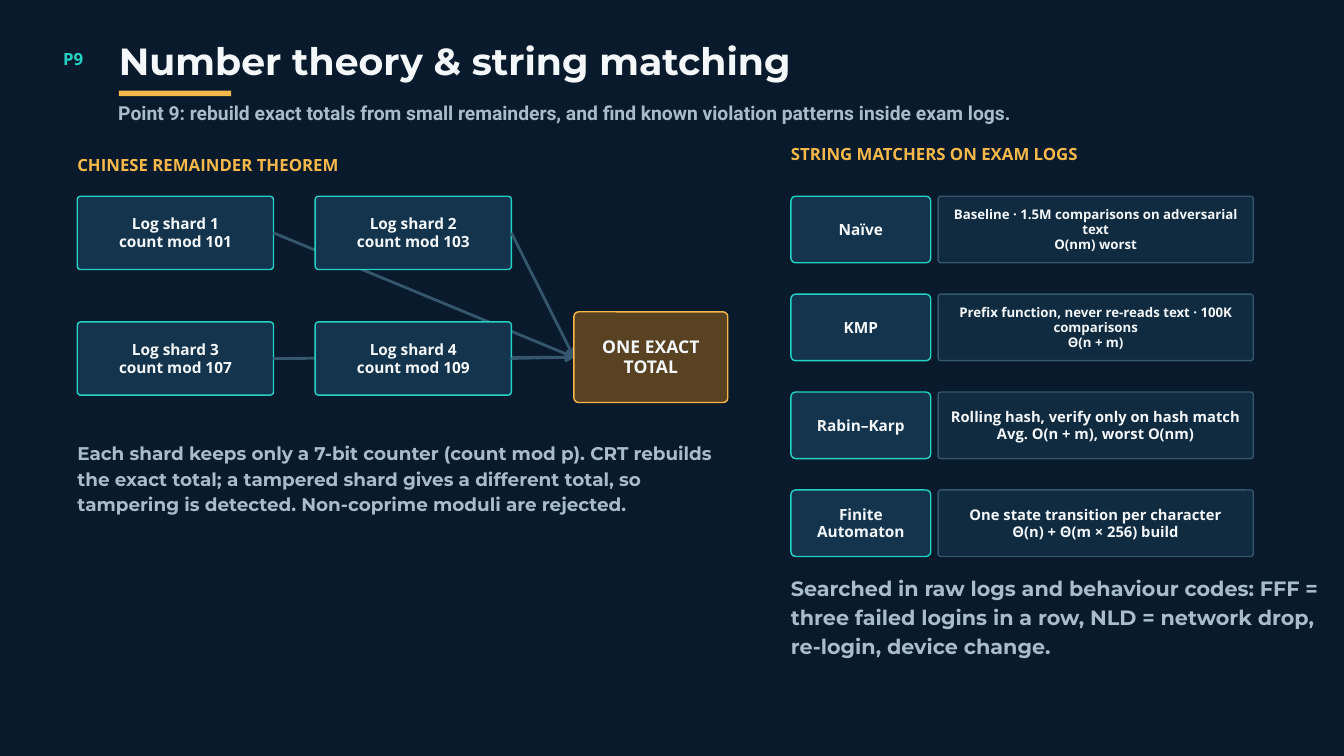
from collections import namedtuple

from lxml import etree
from pptx import Presentation
from pptx import util as u
from pptx.dml import color
from pptx.enum import shapes, text
from pptx.oxml import ns

NAVY, PANEL, STEEL = "081A2B", "14344D", "35566D"
DETAIL, BROWN = "102A40", "584221"
TEAL, AMBER, WHITE, MUTED = "22D3C5", "F6B84A", "F4F8FB", "A8BDCA"

Box = namedtuple("Box", "left top width height")

SHARD_MODULI = [101, 103, 107, 109]
MATCHERS = [
    ("Naïve", ["Baseline · 1.5M comparisons on adversarial text", "O(nm) worst"], 14.2),
    ("KMP", ["Prefix function, never re-reads text · 100K comparisons", "Θ(n + m)"], 14.2),
    ("Rabin–Karp", ["Rolling hash, verify only on hash match",
                    "Avg. O(n + m), worst O(nm)"], 15.8),
    ("Finite Automaton", ["One state transition per character",
                          "Θ(n) + Θ(m × 256) build"], 15.8),
]


def rgb(value):
    return color.RGBColor.from_string(value)


def inches(box):
    return [u.Inches(length) for length in box]


def write(frame, lines, *, size, leading, font="Open Sans", ink=WHITE,
          align=text.PP_ALIGN.LEFT, anchor=text.MSO_ANCHOR.TOP, inset=0):
    frame.word_wrap = True
    frame.auto_size = text.MSO_AUTO_SIZE.NONE
    frame.vertical_anchor = anchor
    frame.margin_left = frame.margin_right = u.Inches(inset)
    frame.margin_top = frame.margin_bottom = u.Inches(inset)
    for index, line in enumerate(lines):
        para = frame.paragraphs[0] if index == 0 else frame.add_paragraph()
        para.alignment = align
        para.line_spacing = u.Pt(leading)
        span = para.add_run()
        span.text = line
        span.font.name = font
        span.font.size = u.Pt(size)
        span.font.bold = True
        span.font.color.rgb = rgb(ink)


def add_label(page, box, line, **style):
    label = page.shapes.add_textbox(*inches(box))
    write(label.text_frame, [line], **style)


def add_card(page, box, lines, *, fill, line, radius, size):
    card = page.shapes.add_shape(shapes.MSO_SHAPE.ROUNDED_RECTANGLE, *inches(box))
    card.adjustments[0] = radius / box.height
    card.shadow.inherit = False
    card.fill.solid()
    card.fill.fore_color.rgb = rgb(fill)
    card.line.color.rgb = rgb(line)
    card.line.width = u.Pt(1.5)
    write(card.text_frame, lines, size=size, leading=round(size * 1.15, 1), inset=0.06,
          align=text.PP_ALIGN.CENTER, anchor=text.MSO_ANCHOR.MIDDLE)


def add_arrow(page, start, end):
    arrow = page.shapes.add_connector(shapes.MSO_CONNECTOR.STRAIGHT, *inches(start + end))
    arrow.line.color.rgb = rgb(STEEL)
    arrow.line.width = u.Pt(3)
    etree.SubElement(arrow.line._get_or_add_ln(), ns.qn("a:tailEnd"), type="arrow")
    etree.SubElement(arrow._element.spPr, ns.qn("a:effectLst"))


def add_heading(page, box, line):
    add_label(page, box, line, size=18, leading=23.4, ink=AMBER)


def add_header(page, box):
    add_label(page, Box(box.left, box.top + 0.06, 0.73, 0.31), "P9",
              size=18, leading=23.4, ink=TEAL)

    indent = box.left + 0.83
    width = box.width - 0.83
    title = page.shapes.title
    title.left, title.top, title.width, title.height = inches(
        Box(indent, box.top, width, 0.59))
    write(title.text_frame, ["Number theory & string matching"],
          size=40.5, leading=42.5, font="Montserrat")

    rule = page.shapes.add_shape(shapes.MSO_SHAPE.RECTANGLE,
                                 *inches(Box(indent, box.top + 0.71, 1.67, 0.08)))
    rule.shadow.inherit = False
    rule.fill.solid()
    rule.fill.fore_color.rgb = rgb(AMBER)
    rule.line.fill.background()

    add_label(page, Box(indent - 0.01, box.top + 0.87, width, 0.35),
              "Point 9: rebuild exact totals from small remainders, "
              "and find known violation patterns inside exam logs.",
              size=20.7, leading=24.9, font="Roboto", ink=MUTED)


def add_remainder_panel(page, box):
    add_heading(page, Box(box.left, box.top, 7.92, 0.31), "CHINESE REMAINDER THEOREM")

    total = Box(box.left + 7.39, box.top + 2.37, 2.29, 1.35)
    target = (total.left, total.top + total.height / 2)
    for index, modulus in enumerate(SHARD_MODULI):
        row, column = divmod(index, 2)
        shard = Box(box.left + column * 3.54, box.top + 0.65 + row * 1.87, 2.92, 1.09)
        add_card(page, shard, [f"Log shard {index + 1}", f"count mod {modulus}"],
                 fill=PANEL, line=TEAL, radius=0.05, size=16.5)
        add_arrow(page, (shard.left + shard.width, shard.top + shard.height / 2), target)
    add_card(page, total, ["ONE EXACT", "TOTAL"],
             fill=BROWN, line=AMBER, radius=0.07, size=18.8)

    add_label(page, Box(box.left, box.top + 4.25, box.width, 1.11),
              "Each shard keeps only a 7-bit counter (count mod p). CRT rebuilds the exact "
              "total; a tampered shard gives a different total, so tampering is detected. "
              "Non-coprime moduli are rejected.",
              size=19.7, leading=27.6, font="Montserrat", ink=MUTED)


def add_matcher_panel(page, box):
    add_heading(page, Box(box.left, box.top, 7.19, 0.31), "STRING MATCHERS ON EXAM LOGS")

    for row, (name, details, size) in enumerate(MATCHERS):
        top = box.top + 0.8 + row * 1.457
        add_card(page, Box(box.left, top, 2.08, 0.99), [name],
                 fill=PANEL, line=TEAL, radius=0.07, size=16.5)
        add_card(page, Box(box.left + 2.19, top, 4.69, 0.99), details,
                 fill=DETAIL, line=STEEL, radius=0.04, size=size)

    add_label(page, Box(box.left, box.top + 6.39, box.width, 1.27),
              "Searched in raw logs and behaviour codes: FFF = three failed logins in a row, "
              "NLD = network drop, re-login, device change.",
              size=22.2, leading=31.1, font="Montserrat", ink=MUTED)


def main():
    deck = Presentation()
    deck.slide_width, deck.slide_height = u.Inches(20), u.Inches(11.25)
    page = deck.slides.add_slide(deck.slide_layouts.get_by_name("Title Only"))
    page.background.fill.solid()
    page.background.fill.fore_color.rgb = rgb(NAVY)

    add_header(page, Box(0.94, 0.64, 17.5, 1.22))
    add_remainder_panel(page, Box(1.15, 2.27, 9.69, 5.36))
    add_matcher_panel(page, Box(11.77, 2.12, 8.23, 7.66))
    deck.save("out.pptx")


if __name__ == "__main__":
    main()
